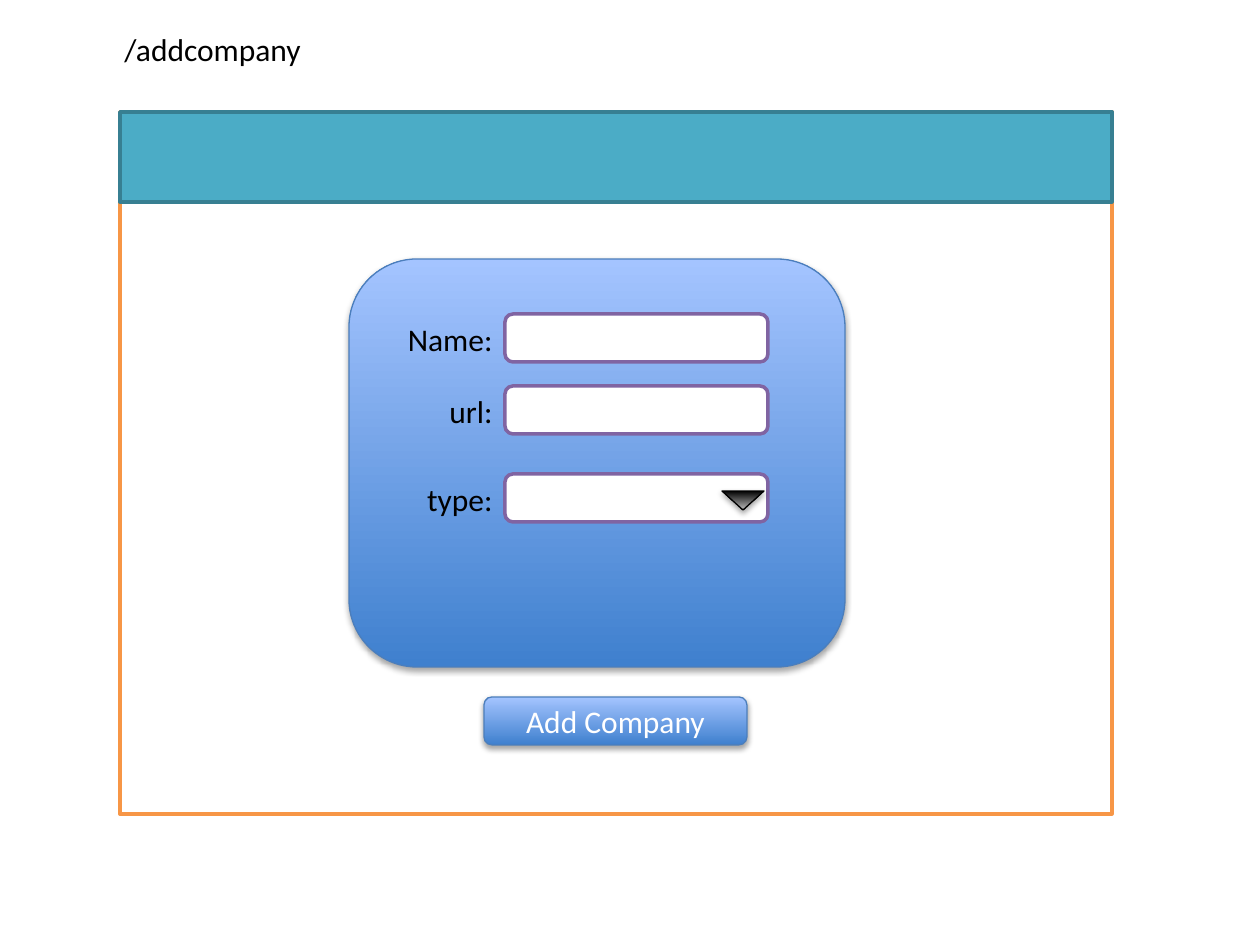
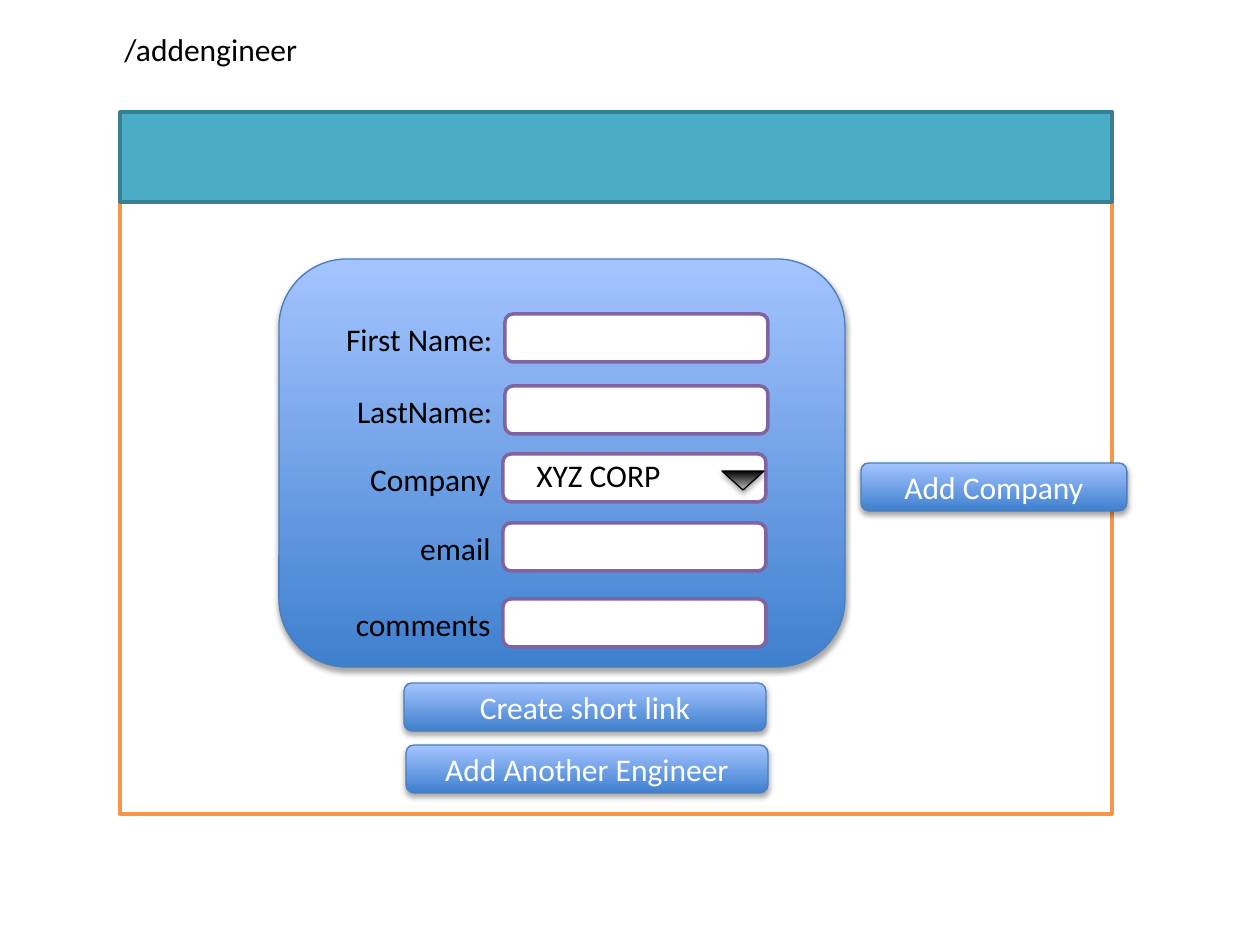
import pptx
import pptx.util
import pptx.dml.color
import pptx.enum.shapes
import pptx.enum.text
import pptx.oxml
import pptx.oxml.ns

SCALE = 914400 // 126  # EMU per pixel
SHAPE = pptx.enum.shapes.MSO_SHAPE
ALIGN = pptx.enum.text.PP_ALIGN
BLACK, WHITE = "000000", "FFFFFF"
BLUE = ("3F80CE", "A4C4FF")  # gradient from bottom to top
BLUE_LINE = "4B7EBC"
FIELD_WIDTH, FIELD_HEIGHT, TEXT_HEIGHT = 263, 48, 50
SHADOW = (
    f'<a:effectLst {pptx.oxml.ns.nsdecls("a")}>'
    '<a:outerShdw blurRad="40000" dist="23000" dir="5400000" rotWithShape="0">'
    '<a:srgbClr val="000000"><a:alpha val="35000"/></a:srgbClr>'
    '</a:outerShdw></a:effectLst>'
)


def rgb(color):
    return pptx.dml.color.RGBColor.from_string(color)


def add_box(shapes, kind, bounds, fill=None, line=None, line_width=2,
            text="", color=BLACK, align=ALIGN.LEFT):
    """Add a preset shape, or a text box if kind is None.

    A pair of fill colours gives a gradient with a soft shadow.
    """
    bounds = [length * SCALE for length in bounds]
    if kind is None:
        shape = shapes.add_textbox(*bounds)
        shape.text_frame.word_wrap = False
        shape.text_frame.auto_size = pptx.enum.text.MSO_AUTO_SIZE.SHAPE_TO_FIT_TEXT
    else:
        shape = shapes.add_shape(kind, *bounds)
        shape.shadow.inherit = False
        shape.line.color.rgb = rgb(line)
        shape.line.width = pptx.util.Pt(line_width)
        if isinstance(fill, tuple):
            shape.fill.gradient()
            shape.fill.gradient_angle = 90
            for stop, stop_color in zip(shape.fill.gradient_stops, fill):
                stop.color.rgb = rgb(stop_color)
            properties = shape.element.spPr
            properties.remove(properties.find(pptx.oxml.ns.qn("a:effectLst")))
            properties.append(pptx.oxml.parse_xml(SHADOW))
        else:
            shape.fill.solid()
            shape.fill.fore_color.rgb = rgb(fill)
    if text:
        paragraph = shape.text_frame.paragraphs[0]
        paragraph.text = text
        paragraph.alignment = align
        paragraph.font.name = "Calibri"
        paragraph.font.size = pptx.util.Pt(18)
        paragraph.font.color.rgb = rgb(color)
    return shape


# Each page: panel left edge, fields (label, label width, field left, top),
# arrow top, chosen value, buttons (text, left, top, width)
pages = [
    {
        "title": "/addcompany", "title_width": 205, "panel_left": 349,
        "fields": [("Name:", 111, 505, 314), ("url:", 69, 505, 386),
                   ("type:", 92, 505, 474)],
        "arrow_top": 491, "choice": None,
        "buttons": [("Add Company", 484, 697, 263)],
    },
    {
        "title": "/addengineer", "title_width": 200, "panel_left": 279,
        "fields": [("First Name:", 174, 505, 314), ("LastName:", 163, 505, 386),
                   ("Company", 147, 503, 454), ("email", 97, 503, 523),
                   ("comments", 163, 503, 599)],
        "arrow_top": 471, "choice": "XYZ CORP",
        "buttons": [("Add Another Engineer", 406, 745, 362),
                    ("Create short link", 404, 683, 362),
                    ("Add Company", 861, 463, 266)],
    },
]

presentation = pptx.Presentation()
presentation.slide_width = pptx.util.Inches(10)
presentation.slide_height = pptx.util.Inches(7.5)

for page in pages:
    slide = presentation.slides.add_slide(presentation.slide_layouts[6])
    shapes = slide.shapes

    # Browser frame, header band and page address
    add_box(shapes, SHAPE.RECTANGLE, (120, 112, 992, 702), WHITE, "F79646")
    add_box(shapes, SHAPE.RECTANGLE, (120, 112, 992, 90), "4BACC6", "377F92")
    add_box(shapes, None, (112, 24, page["title_width"], TEXT_HEIGHT),
            text=page["title"])

    # Form panel, always ending at the same right edge
    left = page["panel_left"]
    add_box(shapes, SHAPE.ROUNDED_RECTANGLE, (left, 259, 845 - left, 408),
            BLUE, BLUE_LINE, 0.75)

    # Labelled fields, each label ending where its field begins
    for label, width, left, top in page["fields"]:
        group = shapes.add_group_shape()
        add_box(group.shapes, None, (left - width, top, width, TEXT_HEIGHT),
                text=label, align=ALIGN.RIGHT)
        add_box(group.shapes, SHAPE.ROUNDED_RECTANGLE,
                (left, top, FIELD_WIDTH, FIELD_HEIGHT), WHITE, "8064A2")

    # Drop-down value and arrow
    if page["choice"]:
        add_box(shapes, None, (522, 450, 151, TEXT_HEIGHT),
                text=page["choice"], align=ALIGN.RIGHT)
    arrow = add_box(shapes, SHAPE.ISOSCELES_TRIANGLE,
                    (722, page["arrow_top"], 42, 19),
                    (BLACK, "BDBDBD"), BLACK, 0.75)
    arrow.rotation = 180

    # Buttons
    for text, left, top, width in page["buttons"]:
        add_box(shapes, SHAPE.ROUNDED_RECTANGLE, (left, top, width, FIELD_HEIGHT),
                BLUE, BLUE_LINE, 0.75, text, WHITE, ALIGN.CENTER)

presentation.save("out.pptx")
